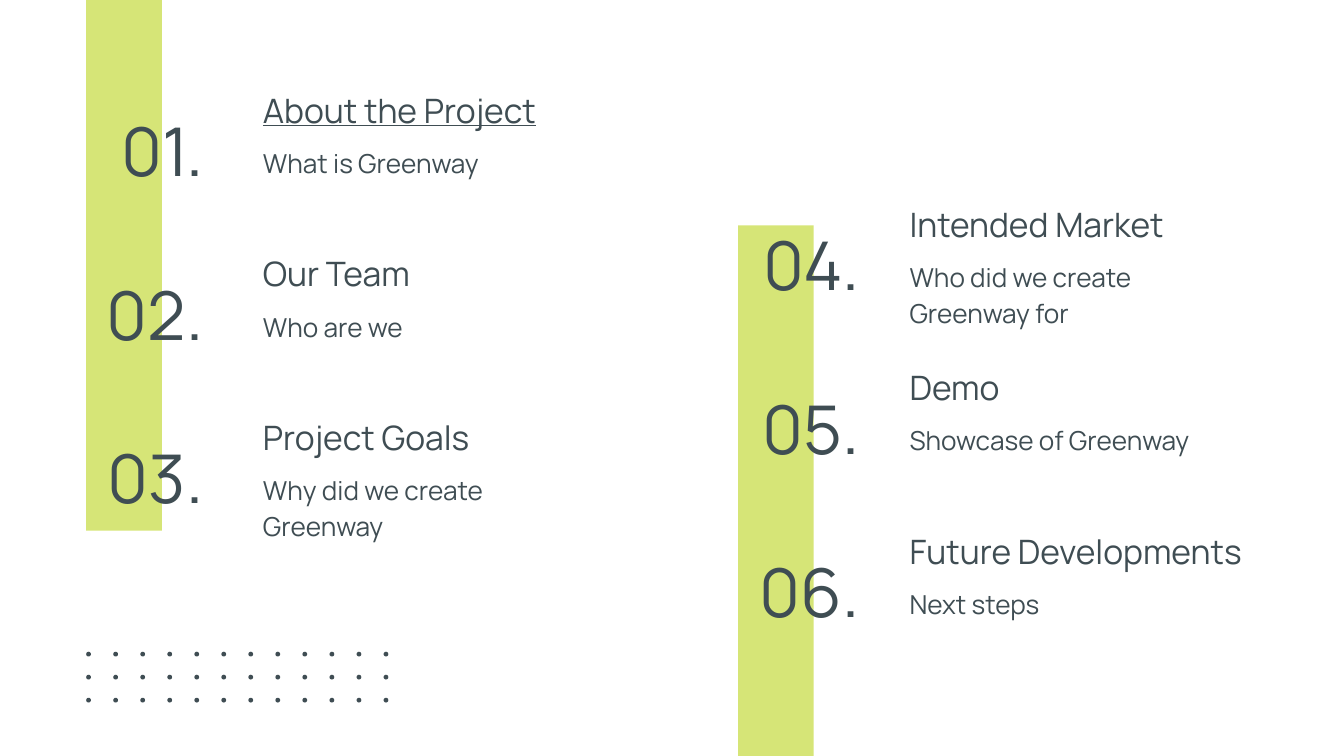
from pptx import Presentation
from pptx.dml.color import RGBColor
from pptx.enum.shapes import MSO_SHAPE
from pptx.enum.text import MSO_ANCHOR, PP_ALIGN
from pptx.util import Cm, Pt

RECT, OVAL = MSO_SHAPE.RECTANGLE, MSO_SHAPE.OVAL
TOP, BOTTOM = MSO_ANCHOR.TOP, MSO_ANCHOR.BOTTOM
LEFT, RIGHT = PP_ALIGN.LEFT, PP_ALIGN.RIGHT

COLORS = {"lime": "D6E577", "slate": "3F4D53"}
FACE = "Manrope"
INSET = Cm(0.25)

# Format values: font, paragraph and frame attributes per text role
STYLES = {
    "number": {
        "font": {"size": Pt(36)},
        "para": {"alignment": RIGHT},
        "frame": {"vertical_anchor": BOTTOM},
    },
    "title": {
        "font": {"size": Pt(18)},
        "para": {"alignment": LEFT},
        "frame": {"vertical_anchor": TOP},
    },
    "note": {
        "font": {"size": Pt(14)},
        "para": {"alignment": LEFT, "line_spacing": 1.15, "space_after": Pt(16)},
        "frame": {"vertical_anchor": TOP},
    },
}

TOPICS = [
    ("About the Project", "What is Greenway"),
    ("Our Team", "Who are we"),
    ("Project Goals", "Why did we create Greenway"),
    ("Intended Market", "Who did we create Greenway for"),
    ("Demo", "Showcase of Greenway"),
    ("Future Developments", "Next steps"),
]


def apply(target, values):
    for name, value in values.items():
        setattr(target, name, value)


def add_block(slide, kind, box, color):
    block = slide.shapes.add_shape(kind, *map(Cm, box))
    block.shadow.inherit = False
    block.fill.solid()
    block.fill.fore_color.rgb = RGBColor.from_string(COLORS[color])
    block.line.fill.background()


def add_label(slide, box, text, role):
    frame = slide.shapes.add_textbox(*map(Cm, box)).text_frame
    style = STYLES[role]
    sides = ("left", "top", "right", "bottom")
    apply(frame, {f"margin_{side}": INSET for side in sides})
    apply(frame, {"word_wrap": True, **style["frame"]})
    para = frame.paragraphs[0]
    apply(para, style["para"])
    run = para.add_run()
    run.text = text
    apply(run.font, {"name": FACE, **style["font"]})
    run.font.color.rgb = RGBColor.from_string(COLORS["slate"])
    return run


def add_topics(slide, box, gap, topics, first):
    """Numbered topics in equal rows; gap runs from number to text."""
    left, top, width, height = box
    pitch = height / len(topics)
    for row, (title, note) in enumerate(topics):
        y = top + row * pitch
        number = f"{first + row:02d}."
        add_label(slide, (left, y + 0.9, 3.66, 1.5), number, "number")
        head = add_label(slide, (left + gap, y, width - gap, 1.22), title, "title")
        head.font.underline = True if first + row == 1 else None
        add_label(slide, (left + gap, y + 1, 6.71, 1.22), note, "note")


def add_dots(slide, box, cols, rows, size):
    left, top, width, height = box
    across = (width - size) / (cols - 1)
    down = (height - size) / (rows - 1)
    for row in range(rows):
        for col in range(cols):
            spot = (left + col * across, top + row * down, size, size)
            add_block(slide, OVAL, spot, "slate")


def main():
    deck = Presentation()
    deck.slide_width, deck.slide_height = Cm(25.4), Cm(14.29)
    slide = deck.slides.add_slide(deck.slide_layouts[6])

    # Vertical bars behind the numbers
    add_block(slide, RECT, (1.63, 0, 1.43, 10.03), "lime")
    add_block(slide, RECT, (13.95, 4.26, 1.43, 10.03), "lime")

    # Two columns of topics
    add_topics(slide, (0.43, 1.45, 11.94, 9.27), 4.29, TOPICS[:3], 1)
    add_topics(slide, (12.83, 3.6, 11.76, 9.27), 4.11, TOPICS[3:], 4)

    # Dot grid
    add_dots(slide, (1.63, 12.32, 5.71, 0.96), 12, 3, 0.09)

    deck.save("out.pptx")


if __name__ == "__main__":
    main()
